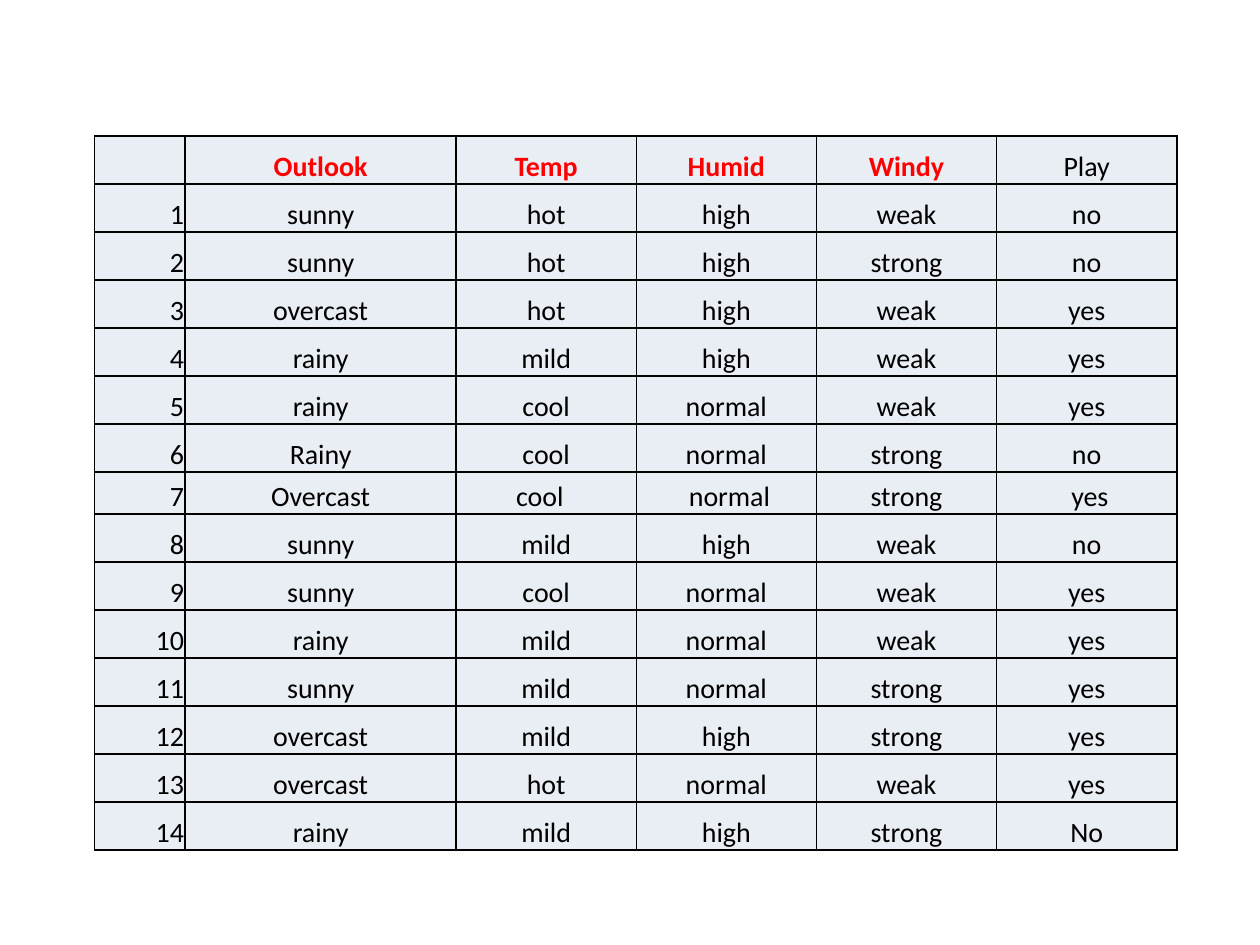
"""Build a slide with the weather table for deciding whether to play."""
from lxml.etree import SubElement
from pptx import Presentation
from pptx.dml.color import RGBColor
from pptx.enum.text import MSO_ANCHOR as Anchor, PP_ALIGN as Align
from pptx.oxml.ns import qn
from pptx.util import Inches, Pt

COLORS = {"cell": "E9EDF4", "border": "000000", "text": "000000", "feature": "FF0000"}
FONT = "Calibri"
HEADERS = ["", "Outlook", "Temp", "Humid", "Windy", "Play"]
DAYS = [
    ("sunny", "hot", "high", "weak", "no"),
    ("sunny", "hot", "high", "strong", "no"),
    ("overcast", "hot", "high", "weak", "yes"),
    ("rainy", "mild", "high", "weak", "yes"),
    ("rainy", "cool", "normal", "weak", "yes"),
    ("Rainy", "cool", "normal", "strong", "no"),
    ("Overcast", "cool", "normal", "strong", "yes"),
    ("sunny", "mild", "high", "weak", "no"),
    ("sunny", "cool", "normal", "weak", "yes"),
    ("rainy", "mild", "normal", "weak", "yes"),
    ("sunny", "mild", "normal", "strong", "yes"),
    ("overcast", "mild", "high", "strong", "yes"),
    ("overcast", "hot", "normal", "weak", "yes"),
    ("rainy", "mild", "high", "strong", "No"),
]
COLUMN_WIDTHS = [0.72, 2.15] + [1.43] * 4
TABLE_HEIGHT = 5.67
SHORT_ROW, SHORT_HEIGHT = 7, 0.33
ROW_HEIGHT = (TABLE_HEIGHT - SHORT_HEIGHT) / len(DAYS)
MARGIN = 0.01
WIDE_MARGINS = {(7, 2): (MARGIN, 0.11), (7, 3): (0.06, MARGIN), (7, 5): (0.06, MARGIN)}


def add_borders(cell):
    properties = cell._tc.get_or_add_tcPr()
    for side in ("a:lnL", "a:lnR", "a:lnT", "a:lnB"):
        line = SubElement(properties, qn(side), w=str(Pt(1)))
        fill = SubElement(line, qn("a:solidFill"))
        SubElement(fill, qn("a:srgbClr"), val=COLORS["border"])


def style_cell(cell, margins):
    add_borders(cell)
    cell.fill.solid()
    cell.fill.fore_color.rgb = RGBColor.from_string(COLORS["cell"])
    cell.vertical_anchor = Anchor.BOTTOM
    cell.margin_left, cell.margin_right = map(Inches, margins)
    cell.margin_top, cell.margin_bottom = Inches(MARGIN), 0


def write_cell(cell, text, align, color, bold):
    paragraph = cell.text_frame.paragraphs[0]
    paragraph.alignment = align
    run = paragraph.add_run()
    run.text = text
    run.font.name = FONT
    run.font.size = Pt(16)
    run.font.bold = bold
    run.font.color.rgb = RGBColor.from_string(COLORS[color])


def add_weather_table(slide):
    rows = [HEADERS] + [(str(day), *values) for day, values in enumerate(DAYS, 1)]
    frame = slide.shapes.add_table(
        len(rows), len(HEADERS), Inches(0.75), Inches(1.08),
        Inches(sum(COLUMN_WIDTHS)), Inches(TABLE_HEIGHT))
    table = frame.table
    table.first_row = table.horz_banding = False
    for column, width in zip(table.columns, COLUMN_WIDTHS):
        column.width = Inches(width)
    for row_index, values in enumerate(rows):
        height = SHORT_HEIGHT if row_index == SHORT_ROW else ROW_HEIGHT
        table.rows[row_index].height = Inches(height)
        for column_index, text in enumerate(values):
            cell = table.cell(row_index, column_index)
            style_cell(cell, WIDE_MARGINS.get((row_index, column_index), (MARGIN, MARGIN)))
            if text:
                feature = row_index == 0 and text != "Play"
                align = Align.CENTER if column_index else Align.RIGHT
                write_cell(cell, text, align, "feature" if feature else "text", feature)


def main():
    presentation = Presentation()
    presentation.slide_width, presentation.slide_height = Inches(10), Inches(7.5)
    slide = presentation.slides.add_slide(presentation.slide_layouts[6])
    add_weather_table(slide)
    presentation.save("out.pptx")


if __name__ == "__main__":
    main()
